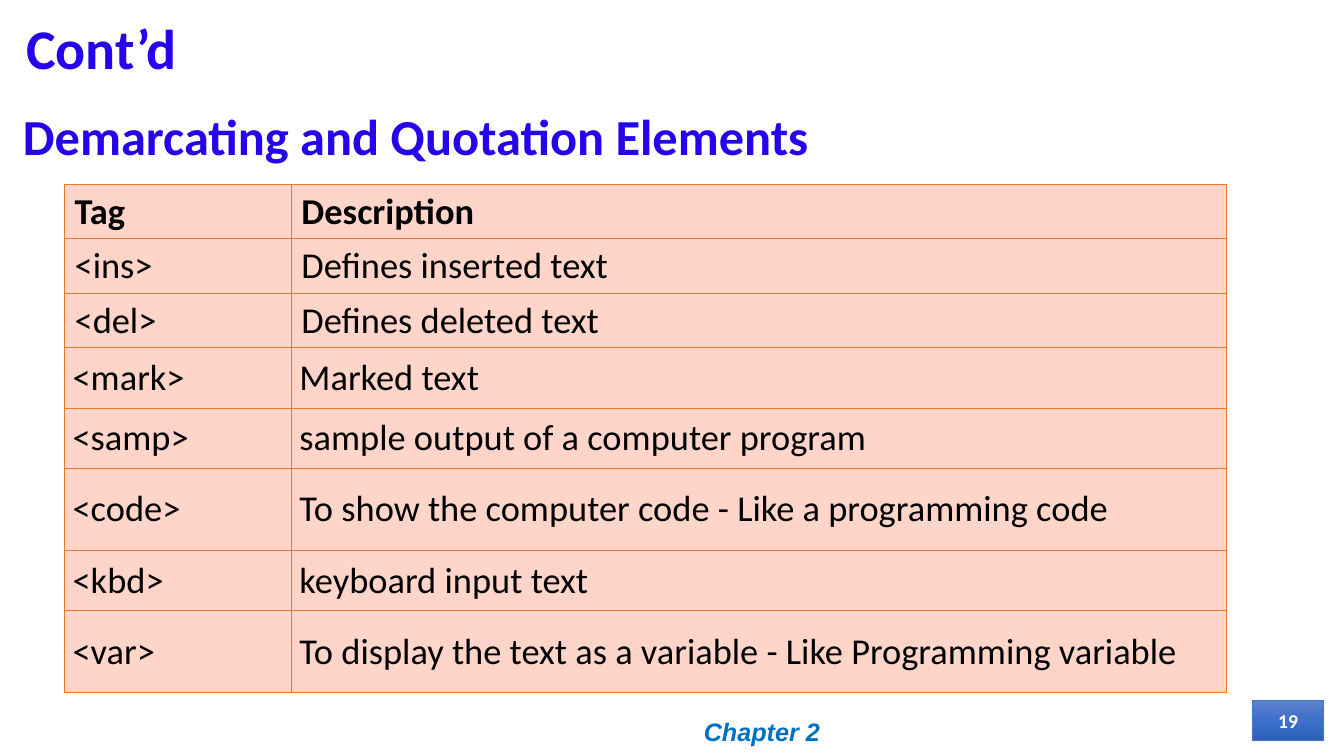
from copy import deepcopy

from lxml import etree
from pptx import Presentation, util as u
from pptx.dml.color import RGBColor
from pptx.enum import shapes, text
from pptx.oxml import ns

WIDTH, HEIGHT = 13.33, 7.5
COLORS = {
    "heading": "2504EC", "footer": "0070C0", "body": "000000", "white": "FFFFFF",
    "cell": "FFD5CA", "border": "EC792B", "badge_line": "4472C4",
}
BADGE_GRADIENT = [(0, "5F82CA"), (0.5, "3C70CA"), (1, "2E60B9")]

# Text formats
HEADING = {"name": "Calibri", "bold": True, "color": "heading"}
TITLE = {**HEADING, "size": 40}
SUBTITLE = {**HEADING, "size": 36}
FOOTER = {"name": "Arial", "size": 18, "bold": True, "italic": True, "color": "footer"}
BADGE = {"name": "Calibri", "size": 14, "bold": True, "color": "white"}
CELL = {"name": "Calibri", "size": 26, "bold": False, "color": "body"}
CELL_HEAD = {**CELL, "bold": True}

# Row kinds: height, (horizontal, vertical) margins, hanging indent
COMPACT = (0.54, (0.1, 0.05), 0.38)
ROOMY = (0.6, (0.08, 0.08), 0)
TALL = (0.81, (0.08, 0.08), 0)
COLUMNS = [2.25, 9.27]
ROWS = [
    (COMPACT, "Tag", "Description"),
    (COMPACT, "<ins>", "Defines inserted text"),
    (COMPACT, "<del>", "Defines deleted text"),
    (ROOMY, "<mark>", "Marked text"),
    (ROOMY, "<samp>", "sample output of a computer program"),
    (TALL, "<code>", "To show the computer code - Like a programming code"),
    (ROOMY, "<kbd>", "keyboard input text"),
    (TALL, "<var>", "To display the text as a variable - Like Programming variable"),
]


def rgb(name):
    return RGBColor.from_string(COLORS.get(name, name))


def write(paragraph, words, style):
    run = paragraph.add_run()
    run.text = words
    for key, value in style.items():
        if key == "color":
            run.font.color.rgb = rgb(value)
        else:
            setattr(run.font, key, u.Pt(value) if key == "size" else value)


def fill_frame(frame, words, style, align, anchor=text.MSO_ANCHOR.MIDDLE):
    frame.word_wrap = True
    frame.vertical_anchor = anchor
    paragraph = frame.paragraphs[0]
    paragraph.alignment = align
    write(paragraph, words, style)
    return paragraph


def add_label(slide, box, *content, **options):
    shape = slide.shapes.add_textbox(*map(u.Inches, box))
    return fill_frame(shape.text_frame, *content, **options)


def add_badge(slide, box, words):
    shape = slide.shapes.add_shape(shapes.MSO_SHAPE.RECTANGLE, *map(u.Inches, box))
    shape.shadow.inherit = False
    shape.line.color.rgb = rgb("badge_line")
    shape.line.width = u.Pt(0.75)
    shape.fill.gradient()
    shape.fill.gradient_angle = 270
    # A middle stop is needed besides the two default ones
    stop_list = shape._element.spPr.find(".//" + ns.qn("a:gsLst"))
    stop_list.insert(1, deepcopy(stop_list[0]))
    for stop, (position, color) in zip(shape.fill.gradient_stops, BADGE_GRADIENT):
        stop.position = position
        stop.color.rgb = rgb(color)
    fill_frame(shape.text_frame, words, BADGE, text.PP_ALIGN.CENTER)


def add_borders(cell):
    properties = cell._tc.get_or_add_tcPr()
    for index, side in enumerate(("lnL", "lnR", "lnT", "lnB")):
        line = etree.Element(ns.qn("a:" + side), w=str(u.Pt(0.75)))
        solid = etree.SubElement(line, ns.qn("a:solidFill"))
        etree.SubElement(solid, ns.qn("a:srgbClr"), val=COLORS["border"])
        properties.insert(index, line)


def fill_cell(cell, words, style, margins, indent):
    horizontal, vertical = map(u.Inches, margins)
    cell.margin_left = cell.margin_right = horizontal
    cell.margin_top = cell.margin_bottom = vertical
    cell.vertical_anchor = text.MSO_ANCHOR.MIDDLE
    cell.fill.solid()
    cell.fill.fore_color.rgb = rgb("cell")
    add_borders(cell)
    paragraph = cell.text_frame.paragraphs[0]
    if indent:
        hanging = paragraph._p.get_or_add_pPr()
        hanging.set("marL", str(u.Inches(indent)))
        hanging.set("indent", str(-u.Inches(indent)))
    write(paragraph, words, style)


def add_tag_table(slide, left, top):
    height = sum(kind[0] for kind, *_ in ROWS)
    box = map(u.Inches, (left, top, sum(COLUMNS), height))
    table = slide.shapes.add_table(len(ROWS), len(COLUMNS), *box).table
    table.horz_banding = False
    for column, width in zip(table.columns, COLUMNS):
        column.width = u.Inches(width)
    for index, ((row_height, margins, indent), *words) in enumerate(ROWS):
        table.rows[index].height = u.Inches(row_height)
        style = CELL if index else CELL_HEAD
        for cell, value in zip(table.rows[index].cells, words):
            fill_cell(cell, value, style, margins, indent)


def main():
    presentation = Presentation()
    presentation.slide_width = u.Inches(WIDTH)
    presentation.slide_height = u.Inches(HEIGHT)
    slide = presentation.slides.add_slide(presentation.slide_layouts[6])

    # Headings
    title = add_label(slide, (0.16, 0.17, 0.88 * WIDTH, 0.68), "Cont’d", TITLE,
                      text.PP_ALIGN.LEFT)
    title.line_spacing = 0.9
    add_label(slide, (0.13, 0.99, 12.9, 0.68), "Demarcating and Quotation Elements",
              SUBTITLE, text.PP_ALIGN.JUSTIFY, anchor=text.MSO_ANCHOR.TOP)

    # Tag table
    add_tag_table(slide, 0.64, 1.83)

    # Footer and slide number
    add_label(slide, (5.89, 7.06, WIDTH / 4, 0.4), "Chapter 2", FOOTER,
              text.PP_ALIGN.CENTER)
    add_badge(slide, (12.42, 6.95, 0.71, 0.4), "19")

    presentation.save("out.pptx")


if __name__ == "__main__":
    main()
